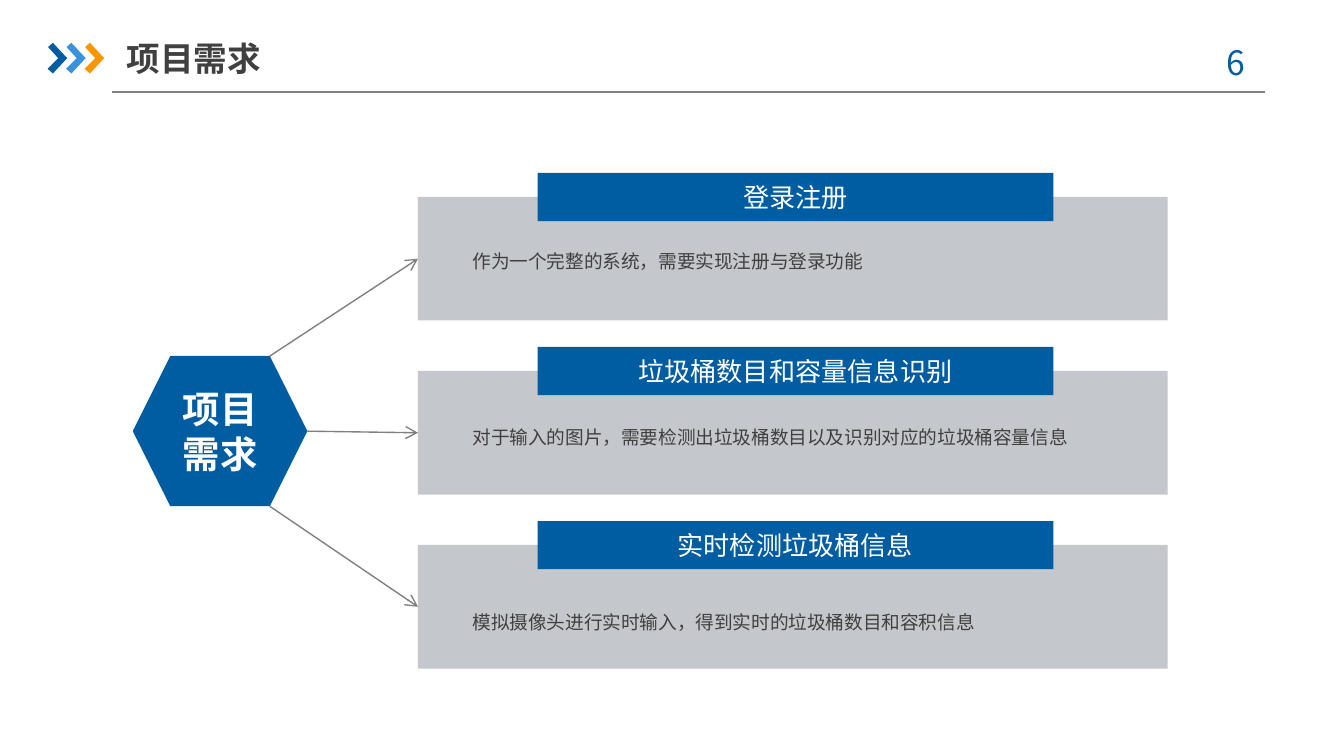
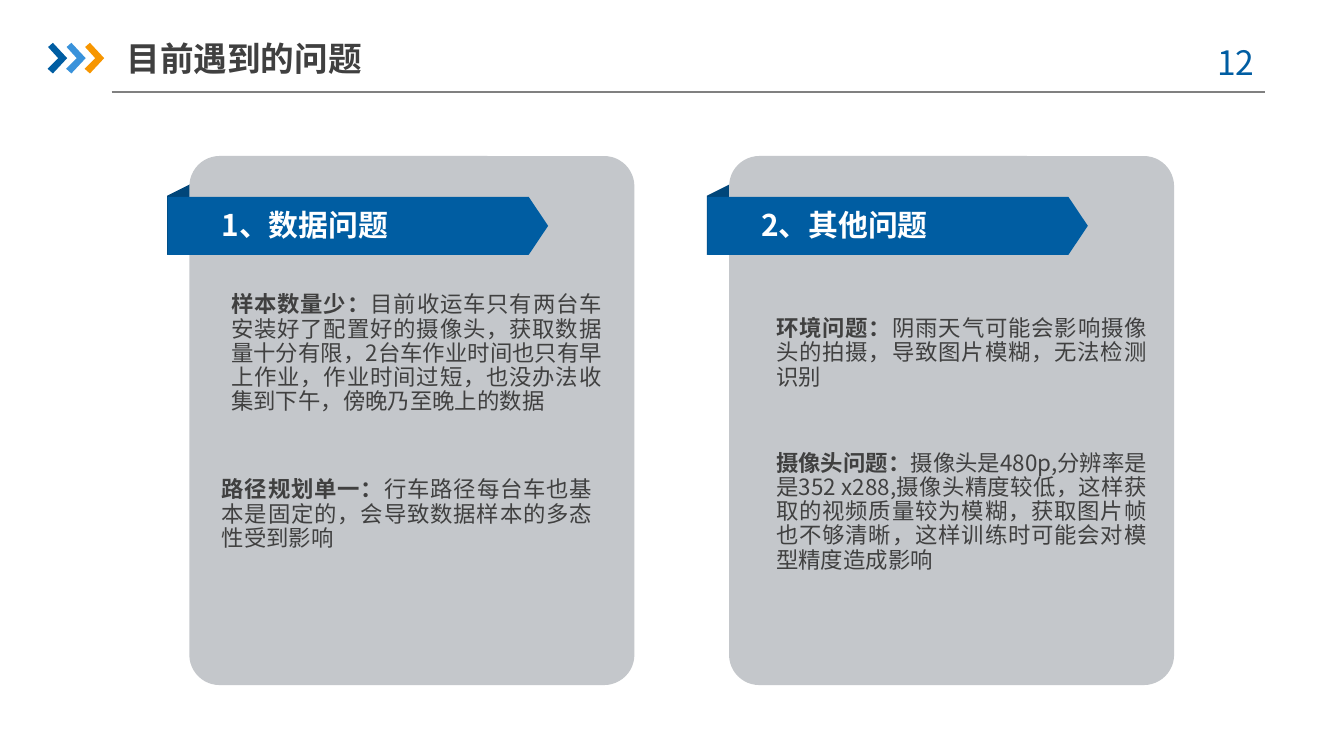
from lxml.etree import SubElement
from pptx import Presentation
from pptx.dml.color import RGBColor
from pptx.enum.shapes import MSO_CONNECTOR, MSO_SHAPE as Shape
from pptx.enum.text import MSO_ANCHOR as Anchor, MSO_AUTO_SIZE as AutoSize, PP_ALIGN as Align
from pptx.oxml.ns import qn
from pptx.util import Cm, Pt

FONT = "Noto Sans CJK SC"
BLUE, DARK_BLUE, LIGHT_BLUE, ORANGE = "005DA2", "00467A", "3992DB", "F79600"
CARD, RULE, INK, WHITE = "C4C7CB", "808080", "404040", "FFFFFF"

CHEVRON = [(0.91, 0.89), (1.0, 0.81), (1.27, 1.1), (1.0, 1.39), (0.9, 1.3), (1.1, 1.1)]
CHEVRON_STEP = 0.35
INSETS = (0.2, 0.1)

# heading, description, distance of the description below the card top
REQUIREMENTS = [
    ("登录注册", "作为一个完整的系统，需要实现注册与登录功能", 0.78),
    ("垃圾桶数目和容量信息识别",
     "对于输入的图片，需要检测出垃圾桶数目以及识别对应的垃圾桶容量信息", 0.82),
    ("实时检测垃圾桶信息", "模拟摄像头进行实时输入，得到实时的垃圾桶数目和容积信息", 1.02),
]

# heading, then notes: label, text, indent inside the card, top on the slide
PROBLEMS = [
    ("1、数据问题", [
        ("样本数量少：", "目前收运车只有两台车安装好了配置好的摄像头，获取数据量十分有限，"
         "2台车作业时间也只有早上作业，作业时间过短，也没办法收集到下午，傍晚乃至晚上的数据",
         0.79, 5.54),
        ("路径规划单一：", "行车路径每台车也基本是固定的，会导致数据样本的多态性受到影响",
         0.61, 9.04),
    ]),
    ("2、其他问题", [
        ("环境问题：", "阴雨天气可能会影响摄像头的拍摄，导致图片模糊，无法检测识别",
         0.89, 5.99),
        ("摄像头问题：", "摄像头是480p,分辨率是是352 x288,摄像头精度较低，这样获取的视频质量较为模糊，"
         "获取图片帧也不够清晰，这样训练时可能会对模型精度造成影响", 0.89, 8.53),
    ]),
]


def rgb(color):
    return RGBColor.from_string(color)


def paint(sp, color):
    sp.shadow.inherit = False
    sp.fill.solid()
    sp.fill.fore_color.rgb = rgb(color)
    sp.line.fill.background()
    return sp


def write(sp, runs, size, color, align=Align.LEFT, anchor=Anchor.TOP,
          insets=(0, 0), spacing=None):
    """Fill a shape with one paragraph of (text, bold) runs; insets are (side, top) in cm."""
    tf = sp.text_frame
    tf.word_wrap = True
    tf.auto_size = AutoSize.NONE
    tf.vertical_anchor = anchor
    tf.margin_left = tf.margin_right = Cm(insets[0])
    tf.margin_top = tf.margin_bottom = Cm(insets[1])
    p = tf.paragraphs[0]
    p.alignment = align
    if spacing:
        p.line_spacing = spacing
    for text, bold in runs:
        r = p.add_run()
        r.text = text
        r.font.size = Pt(size)
        r.font.bold = bold
        r.font.color.rgb = rgb(color)
        r.font.name = FONT
        SubElement(r._r.get_or_add_rPr(), qn("a:ea"), typeface=FONT)


def add_block(slide, kind, x, y, w, h, color):
    return paint(slide.shapes.add_shape(kind, Cm(x), Cm(y), Cm(w), Cm(h)), color)


def add_text(slide, x, y, w, h, runs, size, color, **style):
    write(slide.shapes.add_textbox(Cm(x), Cm(y), Cm(w), Cm(h)), runs, size, color, **style)


def add_line(slide, x1, y1, x2, y2, target=None):
    """Draw a thin grey line; with a target, end in an arrow at its left side."""
    line = slide.shapes.add_connector(MSO_CONNECTOR.STRAIGHT, Cm(x1), Cm(y1), Cm(x2), Cm(y2))
    line.line.color.rgb = rgb(RULE)
    line.line.width = Pt(0.75)
    spPr = line._element.spPr
    if target is not None:
        line.end_connect(target, 1)
        SubElement(spPr.find(qn("a:ln")), qn("a:tailEnd"), type="arrow")
    SubElement(spPr, qn("a:effectLst"))


def add_slide(prs, title, number):
    """Add a slide with the shared chevrons, rule, title and page number."""
    slide = prs.slides.add_slide(prs.slide_layouts[5])
    add_line(slide, 2.11, 1.74, 23.9, 1.74)
    for i, color in enumerate((BLUE, LIGHT_BLUE, ORANGE)):
        points = [(Cm(x + i * CHEVRON_STEP), Cm(y)) for x, y in CHEVRON]
        builder = slide.shapes.build_freeform(*points[0])
        builder.add_line_segments(points[1:], close=True)
        paint(builder.convert_to_shape(), color)
    add_text(slide, 22.43, 0.66, 1.85, 1.02, [(str(number), False)], 18, BLUE,
             align=Align.CENTER, insets=(0.25, 0.13))
    sp = slide.shapes.title
    sp.left, sp.top, sp.width, sp.height = Cm(2.39), Cm(0.56), Cm(5.92), Cm(1.07)
    write(sp, [(title, True)], 18, INK, anchor=Anchor.MIDDLE, insets=(0, 0.13))
    return slide


def add_requirements(prs):
    slide = add_slide(prs, "项目需求", 6)
    left, top, width, height, pitch = 7.9, 3.72, 14.17, 2.34, 3.29
    centred = dict(align=Align.CENTER, anchor=Anchor.MIDDLE, insets=INSETS)

    hub_x, hub_y, hub_w, hub_h = 2.51, 6.73, 3.3, 2.84
    hub = add_block(slide, Shape.HEXAGON, hub_x, hub_y, hub_w, hub_h, BLUE)
    write(hub, [("项目需求", True)], 20, WHITE, **centred)
    right, corner = hub_x + hub_w, hub_x + hub_w - hub_h / 4
    starts = [(corner, hub_y), (right, hub_y + hub_h / 2), (corner, hub_y + hub_h)]

    for i, (heading, text, drop) in enumerate(REQUIREMENTS):
        y = top + i * pitch
        card = add_block(slide, Shape.RECTANGLE, left, y, width, height, CARD)
        band = add_block(slide, Shape.RECTANGLE, 10.16, y - 0.45, 9.75, 0.91, BLUE)
        write(band, [(heading, False)], 14, WHITE, **centred)
        add_text(slide, 8.73, y + drop, 12.6, 0.69, [(text, False)], 10, INK,
                 insets=INSETS, spacing=1.3)
        add_line(slide, *starts[i], left, y + height / 2, target=card)


def add_problems(prs):
    slide = add_slide(prs, "目前遇到的问题", 12)
    left, pitch = 3.58, 10.2
    for i, (heading, notes) in enumerate(PROBLEMS):
        x = left + i * pitch
        fold = add_block(slide, Shape.FLOWCHART_DATA, x - 0.84, 3.84, 1.4, 0.56, DARK_BLUE)
        fold.rotation = 270
        fold._element.spPr.find(qn("a:xfrm")).set("flipH", "1")
        card = add_block(slide, Shape.ROUNDED_RECTANGLE, x, 2.95, 8.41, 10.0, CARD)
        card.adjustments[0] = 0.068
        ribbon = add_block(slide, Shape.PENTAGON, x - 0.41, 3.72, 7.19, 1.1, BLUE)
        ribbon.adjustments[0] = 0.335
        add_text(slide, x + 0.61, 3.91, 4.72, 0.69, [(heading, True)], 16, WHITE)
        for label, text, indent, y in notes:
            add_text(slide, x + indent, y, 7.01, 2.31, [(label, True), (text, False)], 12, INK,
                     align=Align.JUSTIFY, spacing=Pt(13))


def main():
    prs = Presentation()
    prs.slide_width, prs.slide_height = Cm(25.4), Cm(14.29)
    add_requirements(prs)
    add_problems(prs)
    prs.save("out.pptx")


if __name__ == "__main__":
    main()
